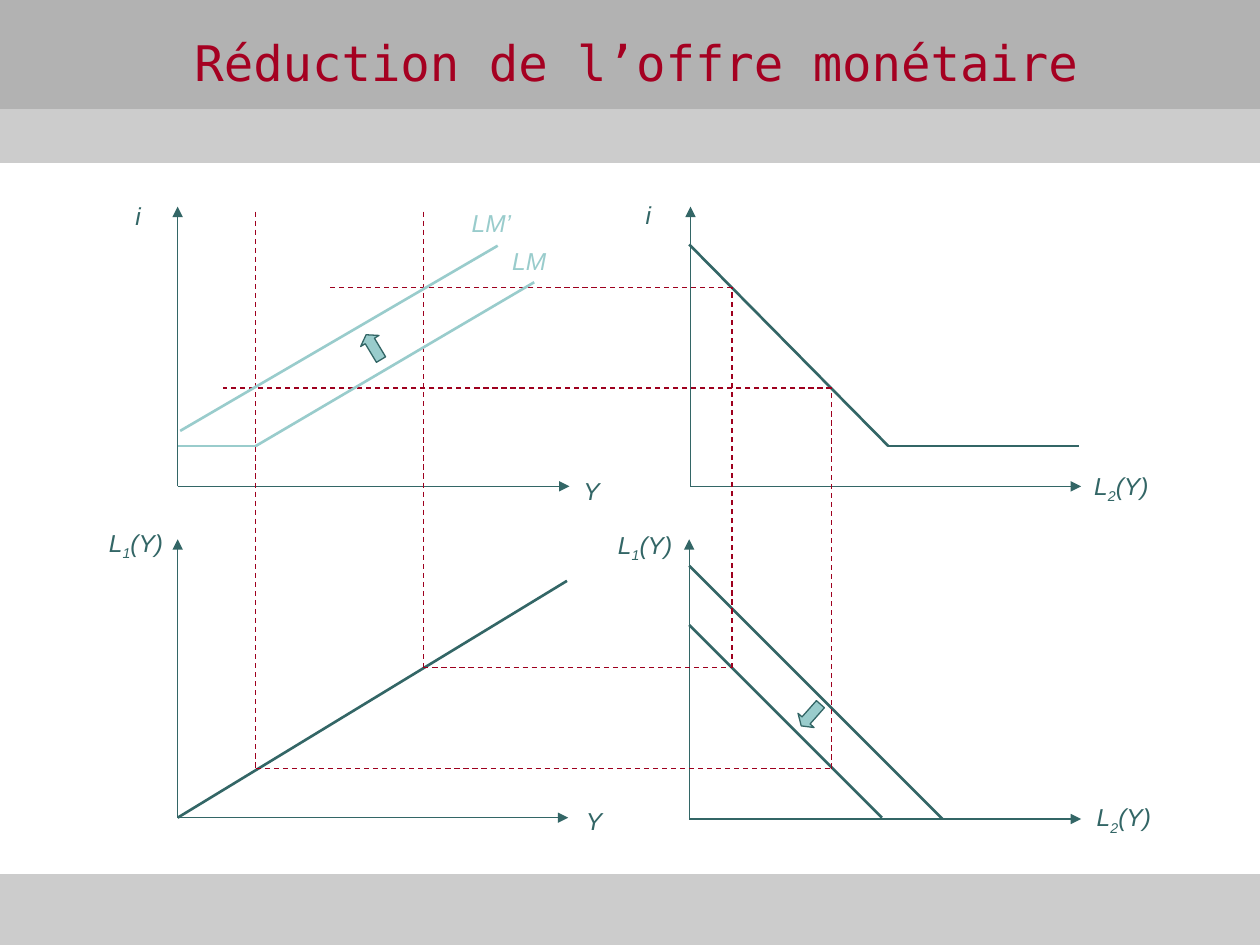
import pptx
import pptx.util
import pptx.dml.color
import pptx.enum.dml
import pptx.enum.shapes
import pptx.enum.text
import pptx.oxml.ns
import lxml.etree

Inches = pptx.util.Inches
SHAPE = pptx.enum.shapes.MSO_SHAPE
ALIGN = pptx.enum.text.PP_ALIGN
ANCHOR = pptx.enum.text.MSO_ANCHOR
color = pptx.dml.color.RGBColor.from_string
qn = pptx.oxml.ns.qn

TEAL, LIGHT, RED = "336666", "99CCCC", "9E001E"

deck = pptx.Presentation()
deck.slide_width, deck.slide_height = Inches(10), Inches(7.5)
page = deck.slides.add_slide(deck.slide_layouts[6])


def add_text(text, left, top, width, height, size=14, font="Arial", fill=TEAL,
             italic=True, anchor=ANCHOR.TOP):
    """Add a centred text box; a digit in the text becomes a subscript."""
    box = page.shapes.add_textbox(Inches(left), Inches(top), Inches(width), Inches(height))
    box.text_frame.word_wrap = True
    box.text_frame.vertical_anchor = anchor
    para = box.text_frame.paragraphs[0]
    para.alignment = ALIGN.CENTER
    pieces = [text[0], text[1], text[2:]] if text[1:2].isdigit() else [text]
    for piece in pieces:
        span = para.add_run()
        span.text = piece
        span.font.size = pptx.util.Pt(size)
        span.font.name = font
        span.font.italic = italic
        span.font.color.rgb = color(fill)
        if piece.isdigit():
            span.font._element.set("baseline", "-25000")


def add_line(x1, y1, x2, y2, stroke=TEAL, weight=1.5, dashed=False, arrow=False):
    line = page.shapes.add_connector(
        pptx.enum.shapes.MSO_CONNECTOR.STRAIGHT,
        Inches(x1), Inches(y1), Inches(x2), Inches(y2))
    line.line.color.rgb = color(stroke)
    line.line.width = pptx.util.Pt(weight)
    if dashed:
        line.line.dash_style = pptx.enum.dml.MSO_LINE.DASH
    if arrow:
        lxml.etree.SubElement(line.line._get_or_add_ln(), qn("a:tailEnd"), type="triangle")
    lxml.etree.SubElement(line._element.spPr, qn("a:effectLst"))


# Header and footer bands
for top, height, fill in [(0.6, 0.69, "CCCCCC"), (0, 0.86, "B2B2B2"), (6.94, 0.56, "CCCCCC")]:
    band = page.shapes.add_shape(SHAPE.RECTANGLE, 0, Inches(top), Inches(10), Inches(height))
    band.shadow.inherit = False
    band.fill.solid()
    band.fill.fore_color.rgb = color(fill)
    band.line.color.rgb = color(fill)
    band.line.width = pptx.util.Pt(0.75)

# Title
add_text("Réduction de l’offre monétaire", 0.33, 0.21, 9.44, 0.57, size=28,
         font="DejaVu Sans Mono", fill="A50021", italic=False, anchor=ANCHOR.MIDDLE)

# Axes of the four graphs
for x, y, top, right in [(1.41, 3.86, 1.64, 4.52), (5.48, 3.86, 1.64, 8.58),
                         (1.41, 6.49, 4.28, 4.51), (5.47, 6.5, 4.28, 8.58)]:
    add_line(x, y, x, top, weight=0.75, arrow=True)
    add_line(x, y, right, y, weight=0.75, arrow=True)

# Axis labels
for text, left, top, width, height in [
    ("i", 0.9, 1.55, 0.39, 0.34), ("i", 4.95, 1.54, 0.39, 0.34),
    ("Y", 4.5, 3.73, 0.39, 0.34), ("Y", 4.52, 6.35, 0.39, 0.34),
    ("L1(Y)", 0.71, 4.14, 0.74, 0.37), ("L1(Y)", 4.75, 4.16, 0.74, 0.37),
    ("L2(Y)", 8.53, 3.69, 0.74, 0.37), ("L2(Y)", 8.55, 6.32, 0.74, 0.37),
]:
    add_text(text, left, top, width, height)

# Money demand and supply curves
for ends in [(5.47, 1.94, 7.05, 3.54), (7.05, 3.54, 8.56, 3.54),
             (1.41, 6.49, 4.5, 4.61),
             (5.47, 4.49, 7.48, 6.5), (5.47, 4.96, 7, 6.49)]:
    add_line(*ends)

# Dashed projections from graph to graph
for left, right, top, bottom, start in [(2.03, 6.6, 3.08, 6.1, 1.77),
                                        (3.36, 5.81, 2.28, 5.3, 2.61)]:
    for ends in [(left, 1.68, left, bottom), (left, bottom, right, bottom),
                 (right, bottom, right, top), (right, top, start, top)]:
        add_line(*ends, stroke=RED, weight=0.75, dashed=True)

# LM curves before and after the reduction
for ends in [(2.03, 3.54, 1.41, 3.54), (2.03, 3.54, 4.24, 2.24), (1.43, 3.42, 3.95, 1.95)]:
    add_line(*ends, stroke=LIGHT)
add_text("LM", 3.84, 1.9, 0.72, 0.34, fill=LIGHT)
add_text("LM’", 3.54, 1.6, 0.72, 0.34, fill=LIGHT)

# Block arrows showing the shifts
for left, top, angle in [(6.32, 5.59, 131.5), (2.85, 2.67, 239)]:
    shift = page.shapes.add_shape(SHAPE.RIGHT_ARROW, Inches(left), Inches(top),
                                  Inches(0.23), Inches(0.17))
    shift.adjustments[1] = 0.34
    shift.rotation = angle
    shift.shadow.inherit = False
    shift.fill.solid()
    shift.fill.fore_color.rgb = color(LIGHT)
    shift.line.color.rgb = color(TEAL)
    shift.line.width = pptx.util.Pt(0.75)

deck.save("out.pptx")
